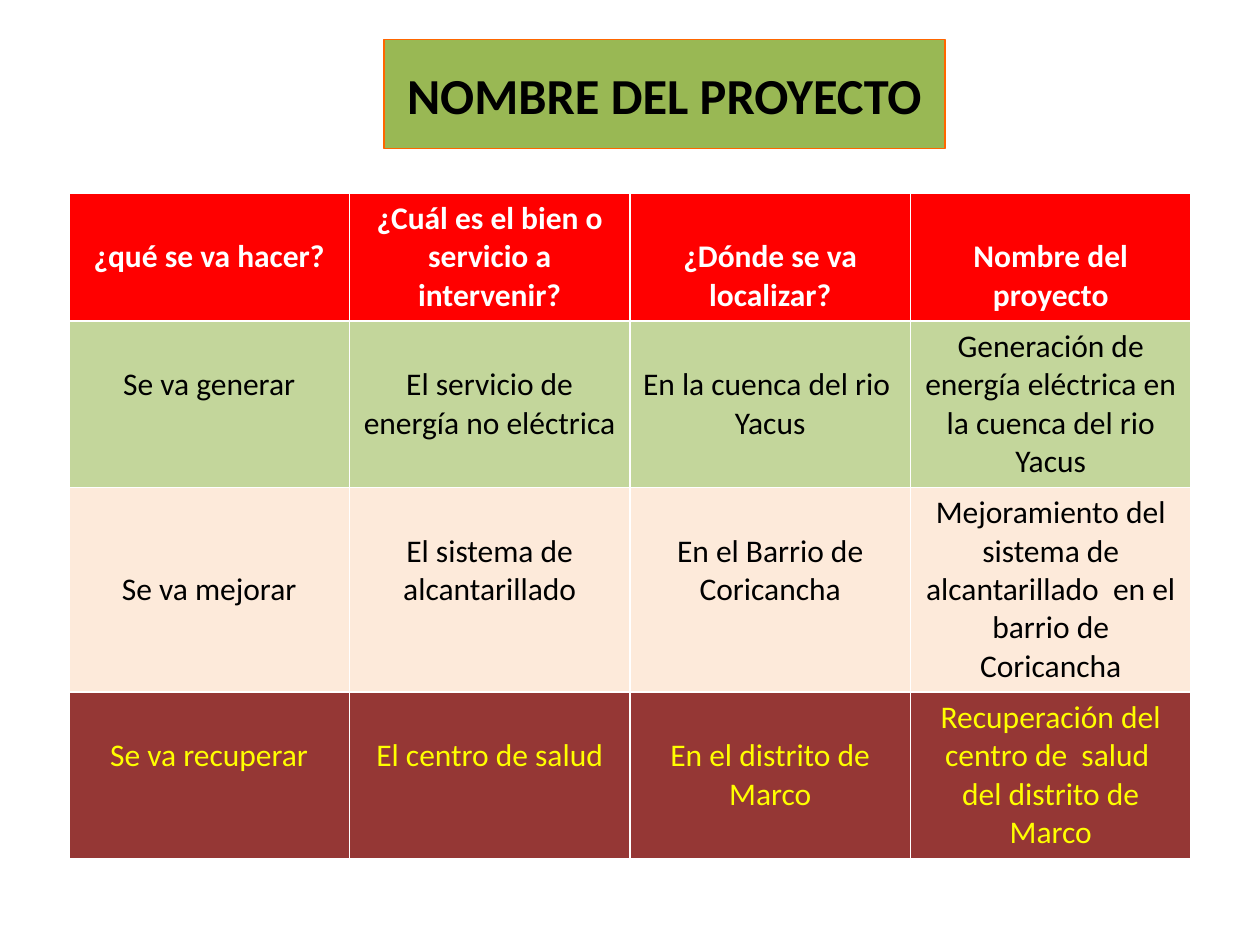
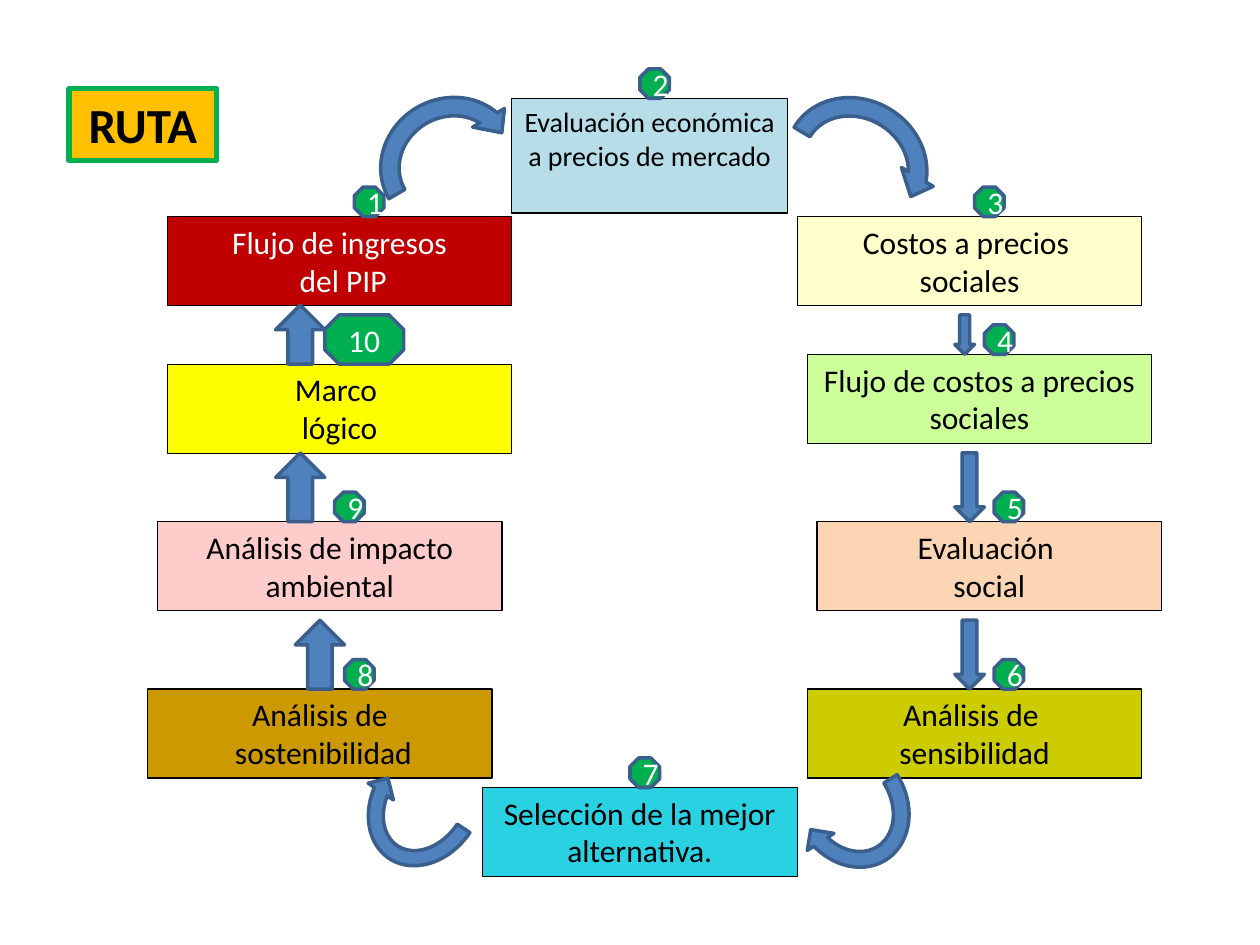
import pptx
import pptx.util
import pptx.dml.color
import pptx.enum.shapes
import pptx.enum.text

RGBColor = pptx.dml.color.RGBColor
SHAPE = pptx.enum.shapes.MSO_SHAPE
ANCHOR = pptx.enum.text.MSO_ANCHOR
CENTER = pptx.enum.text.PP_ALIGN.CENTER

# Colours
BLACK = RGBColor(0x00, 0x00, 0x00)
WHITE = RGBColor(0xFF, 0xFF, 0xFF)
RED = RGBColor(0xFF, 0x00, 0x00)
DARK_RED = RGBColor(0xC0, 0x00, 0x00)
WINE = RGBColor(0x95, 0x37, 0x35)
YELLOW = RGBColor(0xFF, 0xFF, 0x00)
CREAM = RGBColor(0xFF, 0xFF, 0xCC)
GOLD = RGBColor(0xFF, 0xC0, 0x00)
ORANGE = RGBColor(0xFF, 0x66, 0x00)
OCHRE = RGBColor(0xCC, 0x99, 0x00)
OLIVE = RGBColor(0xCC, 0xCC, 0x00)
PEACH = RGBColor(0xFC, 0xD5, 0xB5)
PALE_PEACH = RGBColor(0xFD, 0xEA, 0xDA)
PINK = RGBColor(0xFF, 0xCC, 0xCC)
TITLE_GREEN = RGBColor(0x99, 0xB8, 0x54)
ROW_GREEN = RGBColor(0xC3, 0xD6, 0x9B)
LIME = RGBColor(0xCC, 0xFF, 0x99)
GREEN = RGBColor(0x00, 0xB0, 0x50)
PALE_BLUE = RGBColor(0xB7, 0xDE, 0xE8)
TURQUOISE = RGBColor(0x29, 0xD1, 0xE3)
BLUE = RGBColor(0x4F, 0x81, 0xBD)
DARK_BLUE = RGBColor(0x3A, 0x5F, 0x8C)

# Both slides lie on a grid of 128 columns by 96 rows of square cells
SLIDE_WIDTH = pptx.util.Inches(10)
SLIDE_HEIGHT = pptx.util.Inches(7.5)
GRID = SLIDE_WIDTH / 128
FONT = "Calibri"

# Titles: place on the grid, fill, line, line width, text size
PROJECT_TITLE = ("NOMBRE DEL PROYECTO", (39, 4, 57, 11.1), TITLE_GREEN, ORANGE, 0.75, 28.8)
ROUTE_TITLE = ("RUTA", (7, 9, 15, 7.3), GOLD, GREEN, 3, 28)

# Table rows: fill, text colour, lines of height, cells (text, lines to drop)
TABLE_PLACE = (7, 19.6, 114)
LINE_HEIGHT = 0.305
CELL_MARGIN = 0.05
TABLE_ROWS = [
    (RED, WHITE, 3, [
        ("¿qué se va hacer?", 1),
        ("¿Cuál es el bien o servicio a intervenir?", 0),
        ("¿Dónde se va localizar?", 1),
        ("Nombre del proyecto", 1)]),
    (ROW_GREEN, BLACK, 4, [
        ("Se va generar", 1),
        ("El servicio de energía no eléctrica", 1),
        ("En la cuenca del rio  Yacus", 1),
        ("Generación de energía eléctrica en la cuenca del rio Yacus", 0)]),
    (PALE_PEACH, BLACK, 5, [
        ("Se va mejorar", 2),
        ("El sistema de alcantarillado", 1),
        ("En el Barrio de Coricancha", 1),
        ("Mejoramiento del sistema de alcantarillado  en el barrio de Coricancha", 0)]),
    (WINE, YELLOW, 4, [
        ("Se va recuperar", 1),
        ("El centro de salud", 1),
        ("En el distrito de Marco", 1),
        ("Recuperación del centro de  salud  del distrito de Marco", 0)]),
]

# Steps in order: text, left, top, width, fill, badge left
STEP_HEIGHT = 9.05
STEPS = [
    ("Flujo de ingresos\n del PIP", 17, 22, 35, DARK_RED, 36),
    ("Evaluación económica a precios de mercado", 52, 10, 28, PALE_BLUE, 65),
    ("Costos a precios \nsociales", 81, 22, 35, CREAM, 99),
    ("Flujo de costos a precios sociales", 82, 36, 35, LIME, 100),
    ("Evaluación \nsocial", 83, 53, 35, PEACH, 101),
    ("Análisis de \nsensibilidad", 82, 70, 34, OLIVE, 101),
    ("Selección de la mejor alternativa.", 49, 80, 32, TURQUOISE, 64),
    ("Análisis de\n sostenibilidad", 15, 70, 35, OCHRE, 35),
    ("Análisis de impacto ambiental", 16, 53, 35, PINK, 34),
    ("Marco \nlógico", 17, 37, 35, YELLOW, 33),
]
# Steps that differ from the rest
STEP_HEIGHTS = {2: 11.65}
STEP_SIZES = {2: 16}
STEP_TEXT_COLORS = {1: WHITE}
BADGE_SIZE = (3, 3)
BADGE_SIZES = {10: (8, 5)}

# Arrows: place on the grid, rotation
CURVED_ARROWS = [
    ((78.7, 9.2, 16.6, 15), 30.7),
    ((37.6, 9.1, 16.1, 15), 329.7),
    ((80, 74.2, 12.8, 15), 147.5),
    ((37.1, 74.1, 12.3, 15), 213.6),
]
STRAIGHT_ARROWS = [
    ((97, 32, 2, 4), 0),
    ((97, 46, 3, 7), 0),
    ((97, 63, 3, 7), 0),
    ((30, 63, 5, 7), 180),
    ((28, 46, 5, 7), 180),
    ((28, 31, 5, 6), 180),
]


def on_grid(place):
    return [round(cells * GRID) for cells in place]


def paint(shape, fill, line, line_width):
    shape.fill.solid()
    shape.fill.fore_color.rgb = fill
    shape.line.color.rgb = line
    shape.line.width = pptx.util.Pt(line_width)


def write(text_frame, text, size, color, bold=False):
    text_frame.text = text
    font_format = {"name": FONT, "size": pptx.util.Pt(size), "bold": bold}
    for paragraph in text_frame.paragraphs:
        paragraph.alignment = CENTER
        for run in paragraph.runs:
            for name, value in font_format.items():
                setattr(run.font, name, value)
            run.font.color.rgb = color


def add_titled_slide(presentation, title, anchor):
    text, place, fill, line, line_width, size = title
    slide = presentation.slides.add_slide(presentation.slide_layouts[5])
    shape = slide.shapes.title
    shape.left, shape.top, shape.width, shape.height = on_grid(place)
    paint(shape, fill, line, line_width)
    write(shape.text_frame, text, size, BLACK, bold=True)
    shape.text_frame.auto_size = pptx.enum.text.MSO_AUTO_SIZE.NONE
    shape.text_frame.vertical_anchor = anchor
    return slide


def add_part(slide, kind, place, fill, line=DARK_BLUE, line_width=2, rotation=0):
    shape = slide.shapes.add_shape(kind, *on_grid(place))
    shape.shadow.inherit = False
    shape.rotation = rotation
    paint(shape, fill, line, line_width)
    return shape


def add_project_table(slide):
    heights = [pptx.util.Inches(lines * LINE_HEIGHT + 2 * CELL_MARGIN)
               for _, _, lines, _ in TABLE_ROWS]
    column_count = len(TABLE_ROWS[0][3])
    table = slide.shapes.add_table(
        len(TABLE_ROWS), column_count, *on_grid(TABLE_PLACE), sum(heights)).table
    for row_index, (fill, color, _, cells) in enumerate(TABLE_ROWS):
        table.rows[row_index].height = heights[row_index]
        for column_index, (text, dropped_lines) in enumerate(cells):
            cell = table.cell(row_index, column_index)
            cell.fill.solid()
            cell.fill.fore_color.rgb = fill
            cell.margin_top = pptx.util.Inches(CELL_MARGIN + dropped_lines * LINE_HEIGHT)
            write(cell.text_frame, text, 18, color, bold=row_index == 0)


def add_route(slide):
    # Step boxes
    for number, (text, left, top, width, fill, _) in enumerate(STEPS, 1):
        height = STEP_HEIGHTS.get(number, STEP_HEIGHT)
        box = add_part(slide, SHAPE.RECTANGLE, (left, top, width, height), fill, BLACK, 0.75)
        box.text_frame.vertical_anchor = ANCHOR.TOP
        write(box.text_frame, text, STEP_SIZES.get(number, 18),
              STEP_TEXT_COLORS.get(number, BLACK))

    # Arrows between the steps
    for kind, arrows in ((SHAPE.CIRCULAR_ARROW, CURVED_ARROWS),
                         (SHAPE.DOWN_ARROW, STRAIGHT_ARROWS)):
        for place, rotation in arrows:
            add_part(slide, kind, place, BLUE, rotation=rotation)

    # Number badges standing on the boxes
    for number, (_, _, top, _, _, badge_left) in enumerate(STEPS, 1):
        width, height = BADGE_SIZES.get(number, BADGE_SIZE)
        badge = add_part(slide, SHAPE.OCTAGON, (badge_left, top - height, width, height), GREEN)
        badge.text_frame.vertical_anchor = ANCHOR.MIDDLE
        write(badge.text_frame, str(number), 18, WHITE)


def main():
    presentation = pptx.Presentation()
    presentation.slide_width = SLIDE_WIDTH
    presentation.slide_height = SLIDE_HEIGHT
    add_project_table(add_titled_slide(presentation, PROJECT_TITLE, ANCHOR.MIDDLE))
    add_route(add_titled_slide(presentation, ROUTE_TITLE, ANCHOR.TOP))
    presentation.save("out.pptx")


if __name__ == "__main__":
    main()
